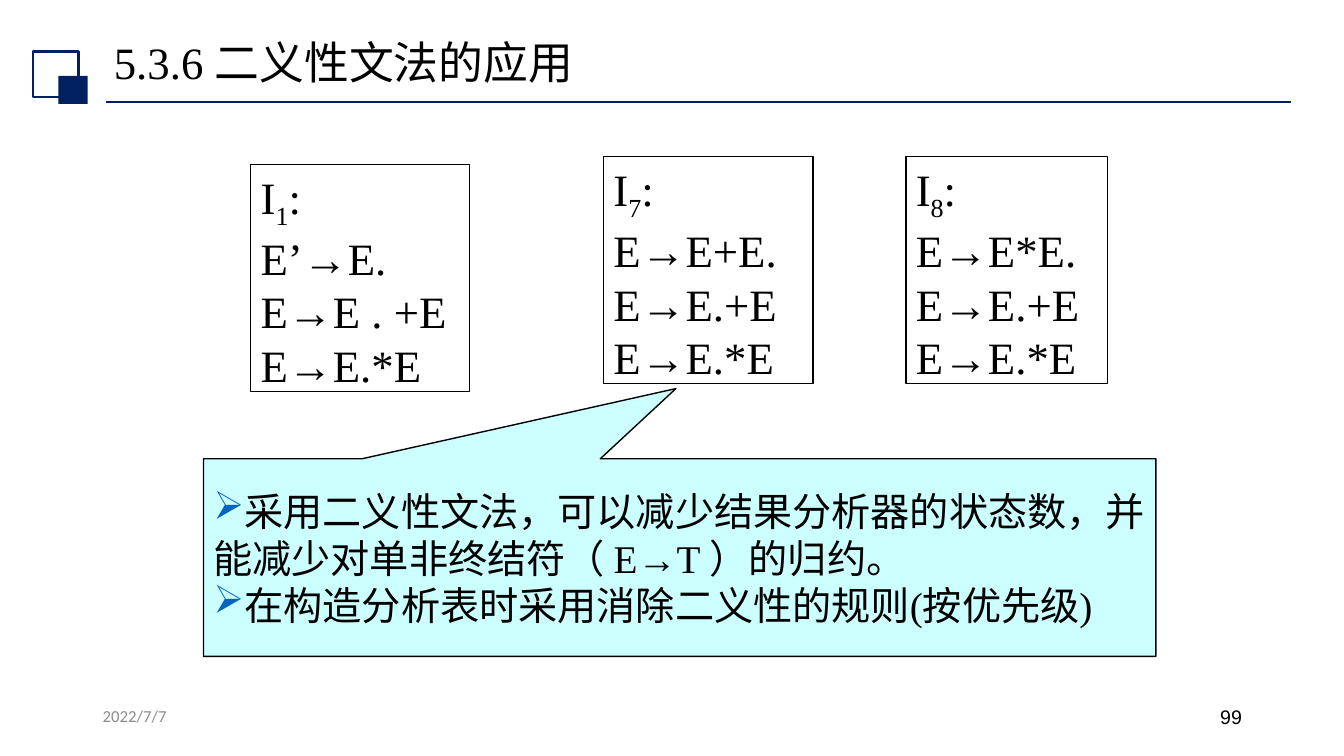
from lxml import etree
from pptx import Presentation
from pptx.dml.color import RGBColor
from pptx.enum.shapes import MSO_CONNECTOR, MSO_SHAPE
from pptx.enum.text import MSO_ANCHOR, PP_ALIGN
from pptx.oxml.ns import qn
from pptx.util import Cm, Pt

RECTANGLE = MSO_SHAPE.RECTANGLE
CALLOUT = MSO_SHAPE.RECTANGULAR_CALLOUT
STRAIGHT = MSO_CONNECTOR.STRAIGHT
TOP, MIDDLE = MSO_ANCHOR.TOP, MSO_ANCHOR.MIDDLE
LEFT, RIGHT = PP_ALIGN.LEFT, PP_ALIGN.RIGHT

COLORS = {"navy": "002060", "black": "000000", "gray": "8C8C8C",
          "cyan": "CCFFFF", "bullet": "0563C1"}
SERIF = "Times New Roman"


def add_panel(shapes, kind, box, fill=None, line=None, width=1):
    """Add a preset shape; box is left, top, width, height in cm."""
    panel = shapes.add_shape(kind, *map(Cm, box))
    panel.shadow.inherit = False
    if fill:
        panel.fill.solid()
        panel.fill.fore_color.rgb = RGBColor.from_string(COLORS[fill])
    else:
        panel.fill.background()
    if line:
        panel.line.color.rgb = RGBColor.from_string(COLORS[line])
        panel.line.width = Pt(width)
    else:
        panel.line.fill.background()
    return panel


def write(holder, lines, size, font=SERIF, color="black", align=LEFT, anchor=TOP):
    """Fill a shape with paragraphs, each given as a list of run texts."""
    frame = holder.text_frame
    frame.word_wrap = True
    frame.vertical_anchor = anchor
    for index, pieces in enumerate(lines):
        paragraph = frame.add_paragraph() if index else frame.paragraphs[0]
        paragraph.alignment = align
        for piece in pieces:
            run = paragraph.add_run()
            run.text = piece
            run.font.size = Pt(size)
            run.font.name = font
            run.font.color.rgb = RGBColor.from_string(COLORS[color])
    return frame.paragraphs


prs = Presentation()
prs.slide_width, prs.slide_height = Cm(33.87), Cm(19.05)
slide = prs.slides.add_slide(prs.slide_layouts[6])
shapes = slide.shapes

# Heading with its rule and square ornament
rule = shapes.add_connector(STRAIGHT, Cm(2.67), Cm(2.57), Cm(32.54), Cm(2.57))
rule.line.color.rgb = RGBColor.from_string(COLORS["navy"])
rule.line.width = Pt(1.25)
etree.SubElement(rule._element.spPr, qn("a:effectLst"))

ornament = shapes.add_group_shape().shapes
add_panel(ornament, RECTANGLE, (0.84, 1.3, 1.14, 1.14), line="navy", width=1.5)
add_panel(ornament, RECTANGLE, (1.47, 1.91, 0.74, 0.71), fill="navy")

title = shapes.add_textbox(Cm(2.62), Cm(0.86), Cm(29.21), Cm(1.55))
write(title, [["5.3.6 二义性文法的应用"]], 32, anchor=MIDDLE)[0].line_spacing = 0.9

# Footer
for left, label, size, font, color, align in (
        (2.34, "2022/7/7", 12, "Calibri", "gray", LEFT),
        (23.93, "99", 14, "Arial", "black", RIGHT)):
    footer = shapes.add_textbox(Cm(left), Cm(17.65), Cm(7.62), Cm(1.02))
    write(footer, [[label]], size, font, color, align)

# LR item sets
for number, left, top, width, items in (
        ("1", 6.32, 4.14, 5.51, ["E’→E.", "E→E . +E", "E→E.*E"]),
        ("7", 15.21, 3.94, 5.28, ["E→E+E.", "E→E.+E", "E→E.*E"]),
        ("8", 22.83, 3.94, 5.08, ["E→E*E.", "E→E.+E", "E→E.*E"])):
    item_set = add_panel(shapes, RECTANGLE, (left, top, width, 5.72), line="black")
    lines = [["I", number, ":"]] + [[item] for item in items]
    state_name = write(item_set, lines, 32)[0]
    state_name.runs[1].font._element.set("baseline", "-25000")

# Remarks on ambiguous grammars
remarks = add_panel(shapes, CALLOUT, (5.13, 11.56, 24, 4.98), "cyan", "black")
remarks.adjustments[0] = -0.004
remarks.adjustments[1] = -0.855
points = [["采用二义性文法，可以减少结果分析器的状态数，并能减少对单非终结符（ E→T ）的归约。"],
          ["在构造分析表时采用消除二义性的规则(按优先级)"]]
for point in write(remarks, points, 28, anchor=MIDDLE):
    properties = point._p.get_or_add_pPr()
    bullet_color = etree.SubElement(properties, qn("a:buClr"))
    etree.SubElement(bullet_color, qn("a:srgbClr"), val=COLORS["bullet"])
    etree.SubElement(properties, qn("a:buChar"), char="➢")

prs.save("out.pptx")
